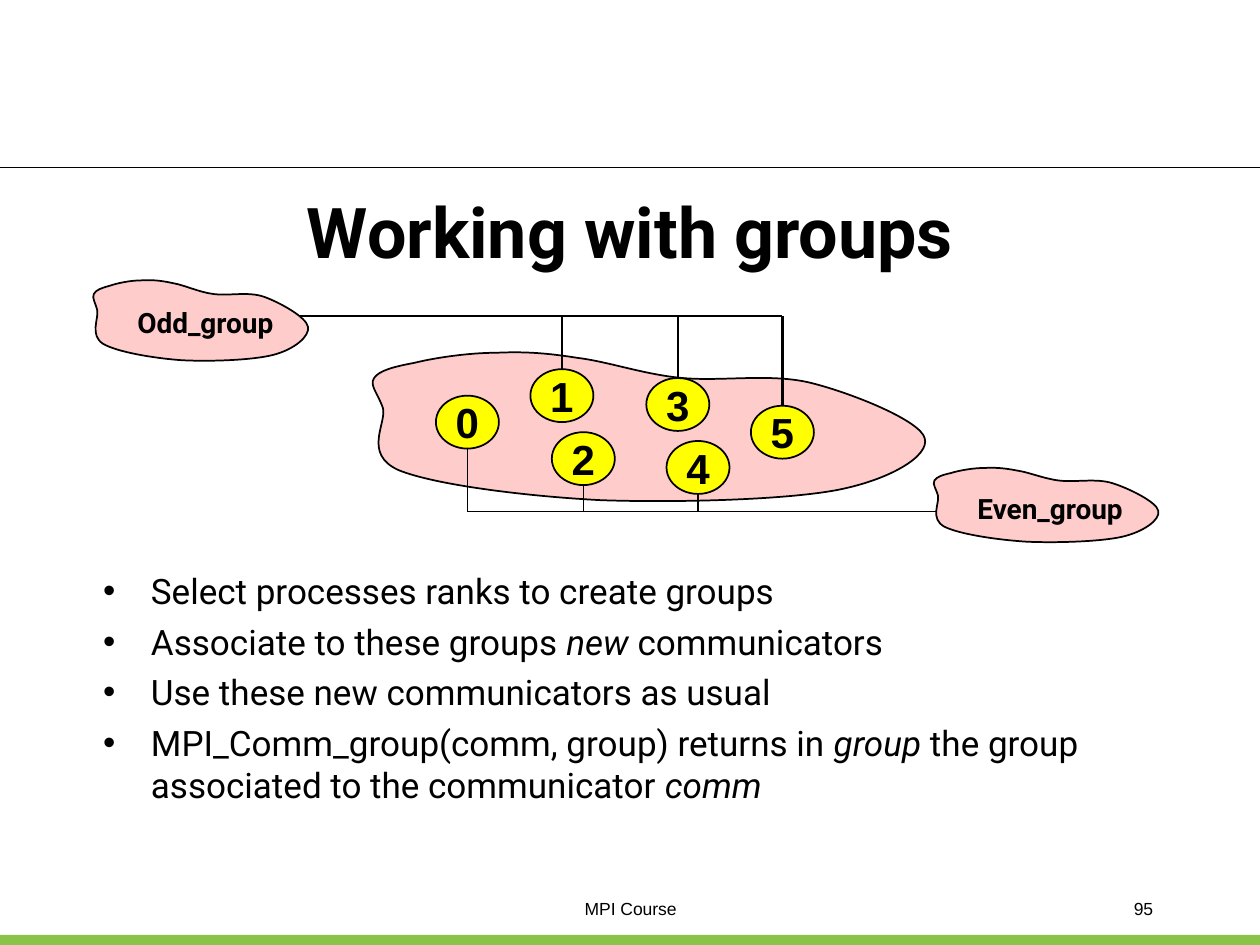
from lxml.etree import Element, SubElement
from pptx import Presentation
from pptx.dml.color import RGBColor
from pptx.enum.shapes import MSO_CONNECTOR, MSO_SHAPE
from pptx.enum.text import MSO_ANCHOR, PP_ALIGN
from pptx.oxml.ns import qn
from pptx.util import Inches, Pt

BLACK = RGBColor(0x00, 0x00, 0x00)
PINK = RGBColor(0xFF, 0xCC, 0xCC)
YELLOW = RGBColor(0xFF, 0xFF, 0x00)
GREEN = RGBColor(0x89, 0xC4, 0x48)

TITLE = "Working with groups"
FOOTER = "MPI Course"
PAGE_NUMBER = "95"

# Each bullet is a list of (text, italic) runs
BULLETS = [
    [("Select processes ranks to create groups", False)],
    [("Associate to these groups ", False), ("new", True), (" communicators", False)],
    [("Use these new communicators as usual", False)],
    [("MPI_Comm_group(comm, group) returns in ", False), ("group", True),
     (" the group associated to the communicator ", False), ("comm", True)],
]

# Left and top of each process; its rank is its place in the list
PROCESSES = [(3.46, 3.14), (4.21, 2.93), (4.38, 3.43),
             (5.13, 3.00), (5.29, 3.50), (5.96, 3.22)]
PROCESS_W, PROCESS_H = 0.5, 0.42
ODD_BUS_Y, ODD_BUS_LEFT = 2.51, 2.38
EVEN_BUS_Y, EVEN_BUS_RIGHT = 4.06, 7.46

WORLD_BOX = (2.88, 2.79, 4.5, 1.2)
# Label, outline box, label box
GROUPS = [
    ("Odd_group", (0.71, 2.22, 1.75, 0.65), (0.88, 2.38, 1.5, 0.37)),
    ("Even_group", (7.38, 3.71, 1.83, 0.6), (7.55, 3.85, 1.57, 0.37)),
]

# Blob outline in a 4.5 x 1.2 frame: a start point, then cubic curves
BLOB_W, BLOB_H = 4.5, 1.2
BLOB_START = (0.41, 0.09)
BLOB_CURVES = [
    ((0.57, 0.05), (0.84, 0.01), (1.06, 0.01)),
    ((1.27, 0.00), (1.45, 0.01), (1.70, 0.05)),
    ((1.95, 0.08), (2.22, 0.18), (2.53, 0.21)),
    ((2.85, 0.24), (3.24, 0.17), (3.56, 0.25)),
    ((3.88, 0.33), (4.43, 0.55), (4.46, 0.69)),
    ((4.50, 0.83), (4.18, 1.02), (3.76, 1.10)),
    ((3.33, 1.18), (2.47, 1.20), (1.89, 1.18)),
    ((1.31, 1.15), (0.57, 1.06), (0.28, 0.94)),
    ((0.00, 0.81), (0.19, 0.57), (0.16, 0.45)),
    ((0.12, 0.33), (0.05, 0.27), (0.09, 0.21)),
    ((0.13, 0.15), (0.25, 0.12), BLOB_START),
]

prs = Presentation()
prs.slide_width, prs.slide_height = Inches(10), Inches(7.5)
slide = prs.slides.add_slide(prs.slide_layouts[6])
shapes = slide.shapes


def inches(values):
    return [Inches(value) for value in values]


def style_font(paragraph, size, name, bold=False):
    font = paragraph.font
    font.size, font.name, font.bold = Pt(size), name, bold
    font.color.rgb = BLACK


def paint(shape, fill):
    shape.shadow.inherit = False
    shape.fill.solid()
    shape.fill.fore_color.rgb = fill
    shape.line.color.rgb = BLACK
    shape.line.width = Pt(1)


def add_text(box, text, size, name, align=PP_ALIGN.CENTER, bold=False,
             anchor=MSO_ANCHOR.TOP):
    frame = shapes.add_textbox(*inches(box)).text_frame
    frame.word_wrap = True
    frame.vertical_anchor = anchor
    paragraph = frame.paragraphs[0]
    paragraph.text = text
    paragraph.alignment = align
    style_font(paragraph, size, name, bold)


def add_line(x1, y1, x2, y2, width=1):
    line = shapes.add_connector(MSO_CONNECTOR.STRAIGHT, *inches((x1, y1, x2, y2)))
    line.line.color.rgb = BLACK
    line.line.width = Pt(width)
    SubElement(line._element.spPr, qn("a:effectLst"))


def bend_segments(freeform):
    """Turn every three line segments into one cubic curve."""
    segments = list(freeform._element.iter(qn("a:lnTo")))
    for i in range(0, len(segments), 3):
        curve = Element(qn("a:cubicBezTo"))
        segments[i].addprevious(curve)
        for segment in segments[i:i + 3]:
            curve.append(segment[0])
            segment.getparent().remove(segment)


def add_blob(box):
    left, top, width, height = box
    controls = [BLOB_START] + [point for curve in BLOB_CURVES for point in curve]
    points = [(Inches(left + x * width / BLOB_W), Inches(top + y * height / BLOB_H))
              for x, y in controls]
    builder = shapes.build_freeform(*points[0])
    builder.add_line_segments(points[1:], close=True)
    blob = builder.convert_to_shape()
    bend_segments(blob)
    paint(blob, PINK)


def add_process(rank, left, top):
    process = shapes.add_shape(
        MSO_SHAPE.OVAL, *inches((left, top, PROCESS_W, PROCESS_H)))
    paint(process, YELLOW)
    frame = process.text_frame
    frame.word_wrap = False
    frame.vertical_anchor = MSO_ANCHOR.MIDDLE
    paragraph = frame.paragraphs[0]
    paragraph.text = str(rank)
    paragraph.alignment = PP_ALIGN.CENTER
    style_font(paragraph, 24, "Arial", bold=True)


def add_bullets(box):
    frame = shapes.add_textbox(*inches(box)).text_frame
    frame.word_wrap = True
    for i, runs in enumerate(BULLETS):
        paragraph = frame.paragraphs[0] if i == 0 else frame.add_paragraph()
        if i:
            paragraph.space_before = Pt(5)
        properties = paragraph._p.get_or_add_pPr()
        properties.set("marL", str(Inches(0.38)))
        properties.set("indent", str(-Inches(0.38)))
        SubElement(properties, qn("a:buFont"), typeface="Arial")
        SubElement(properties, qn("a:buChar"), char="•")
        style_font(paragraph, 20, "Roboto")
        for text, italic in runs:
            run = paragraph.add_run()
            run.text = text
            if italic:
                run.font.italic = True


# Page frame and texts
band = shapes.add_shape(MSO_SHAPE.RECTANGLE, *inches((0, 7.42, 10, 0.08)))
paint(band, GREEN)
band.line.fill.background()
add_line(0, 1.33, 10, 1.33, 0.75)
add_text((3.17, 7.08, 3.67, 0.25), FOOTER, 10, "Arial")
add_text((7.17, 7.08, 2.08, 0.25), PAGE_NUMBER, 10, "Arial", PP_ALIGN.RIGHT)
add_text((0.75, 1.5, 8.5, 0.66), TITLE, 40, "Roboto", bold=True,
         anchor=MSO_ANCHOR.MIDDLE)
add_bullets((0.72, 4.47, 8.5, 2.12))

# All processes, wired to the odd bus above or the even bus below
add_blob(WORLD_BOX)
for rank, (left, top) in enumerate(PROCESSES):
    add_process(rank, left, top)
centers = [left + PROCESS_W / 2 for left, _ in PROCESSES]
last = len(PROCESSES) - 1
for rank, (x, (_, top)) in enumerate(zip(centers, PROCESSES)):
    if rank % 2:
        add_line(x, ODD_BUS_Y, x, top, 1.5 if rank == last else 1)
    else:
        add_line(x, top + PROCESS_H, x, EVEN_BUS_Y)
add_line(centers[last], ODD_BUS_Y, ODD_BUS_LEFT, ODD_BUS_Y)
add_line(centers[0], EVEN_BUS_Y, EVEN_BUS_RIGHT, EVEN_BUS_Y)

for label, outline_box, label_box in GROUPS:
    add_blob(outline_box)
    add_text(label_box, label, 16, "Roboto", bold=True)

prs.save("out.pptx")
